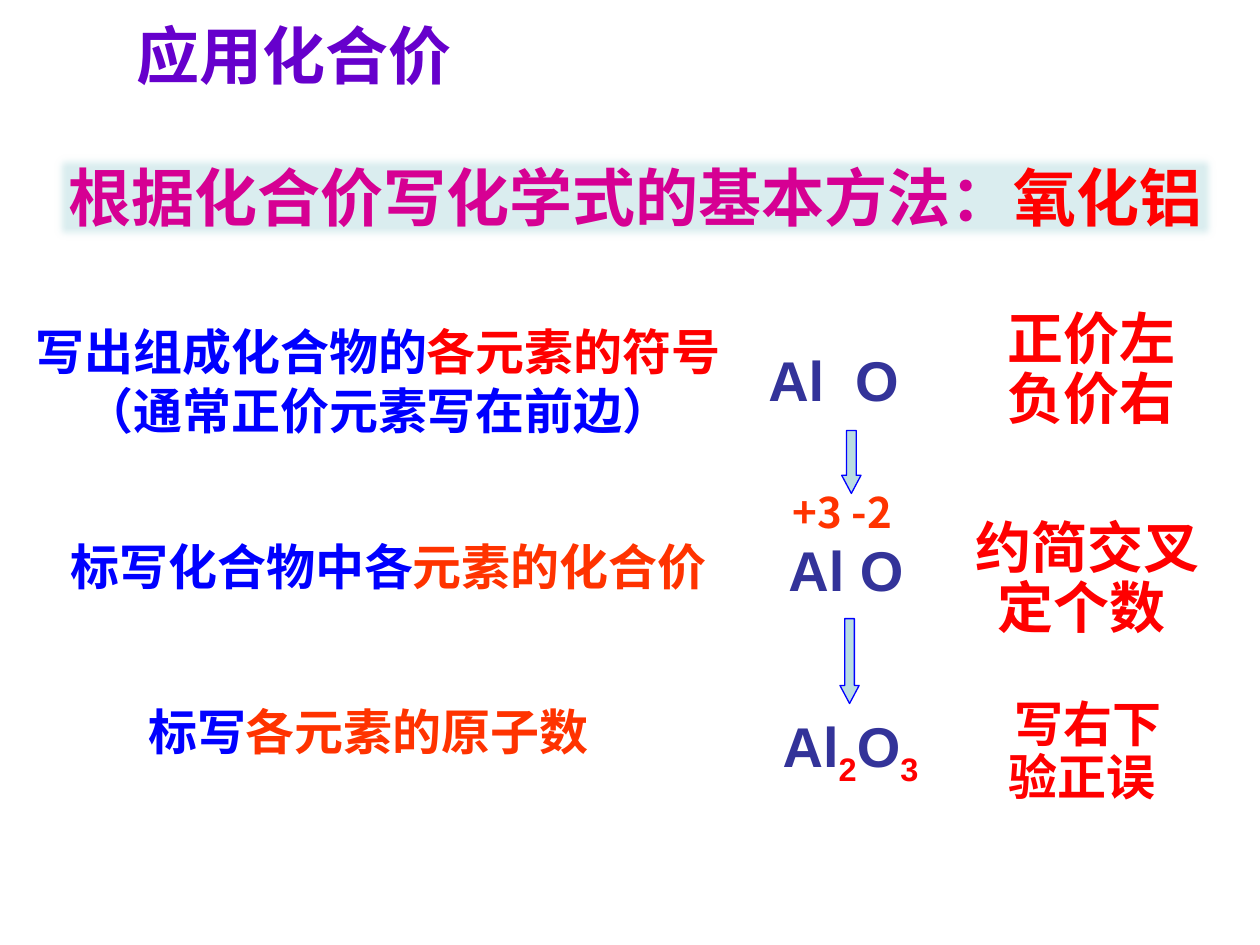
import pptx
import pptx.util
from pptx.dml.color import RGBColor
from pptx.enum.shapes import MSO_SHAPE
from pptx.enum.text import MSO_ANCHOR, MSO_AUTO_SIZE, PP_ALIGN
from pptx.oxml import parse_xml
from pptx.oxml.ns import nsdecls, qn

Pt = pptx.util.Pt
CJK, LATIN = "Noto Sans CJK SC", "Arial"
BLUE = RGBColor(0x00, 0x00, 0xFF)
RED = RGBColor(0xFF, 0x00, 0x00)
ORANGE = RGBColor(0xFF, 0x33, 0x00)
INDIGO = RGBColor(0x33, 0x33, 0x99)
PURPLE = RGBColor(0x66, 0x00, 0xCC)
MAGENTA = RGBColor(0xD6, 0x00, 0x93)
PALE = RGBColor(0xDA, 0xED, 0xEF)
TEAL = RGBColor(0xBA, 0xDD, 0xE1)

# Boxes are (left, top, width, height) in points.
# A paragraph is a list of runs: (text, colour[, "sub"]).
TITLE = ((18, 6, 300, 66), [[("应用化合价", PURPLE)]])
BANNER = ((30, 87, 666, 51),
          [[("根据化合价写化学式的基本方法：", MAGENTA), ("氧化铝", RED)]])
STEPS = [
    ((6, 180, 420, 90), [[("写出组成化合物的", BLUE), ("各元素的符号", RED)],
                         [("（通常正价元素写在前边）", BLUE)]], {}),
    ((8, 303, 428, 50), [[("标写化合物中各", BLUE), ("元素的化合价", ORANGE)]], {}),
    ((55.5, 397.5, 310, 46), [[("标写", BLUE), ("各元素的原子数", ORANGE)]], {}),
]
FORMULAS = [
    ((423, 194, 99, 46), [[(" Al  O", INDIGO)]], {}),
    ((443, 302.5, 81, 46), [[("Al O", INDIGO)]], {}),
    ((438, 403, 96, 46), [[("Al", INDIGO), ("2", RED, "sub"),
                           ("O", INDIGO), ("3", RED, "sub")]], {}),
]
VALENCES = [((432, 274.5, 98.5, 37), [[("+3 -2", ORANGE)]], {})]
RHYMES = [
    ((558, 174, 132, 77), [[("正价左负价右", RED)]], {}),
    ((538.5, 293.5, 166.5, 77), [[("约简交叉定个数 ", RED)]], {}),
    ((564.5, 396.5, 114, 68), [[("写右下验正误 ", RED)]], {"size": Pt(28)}),
]
GROUPS = [
    (STEPS, {"size": Pt(28), "name": CJK}, {}, True),
    (FORMULAS, {"size": Pt(32), "name": LATIN}, {}, False),
    (VALENCES, {"size": Pt(24), "name": CJK}, {}, True),
    (RHYMES, {"size": Pt(32), "name": CJK}, {"line_spacing": 0.9}, True),
]
ARROWS = [(481, 246, 11, 36), (480, 353.5, 11, 48.5)]


def points(box):
    return [Pt(v) for v in box]


def write(sp, paragraphs, font, spacing=None, wrap=True):
    tf = sp.text_frame
    frame = {"word_wrap": wrap, "auto_size": MSO_AUTO_SIZE.NONE,
             "vertical_anchor": MSO_ANCHOR.TOP,
             "margin_left": Pt(7.2), "margin_right": Pt(7.2),
             "margin_top": Pt(3.6), "margin_bottom": Pt(3.6)}
    for key, value in frame.items():
        setattr(tf, key, value)
    for i, runs in enumerate(paragraphs):
        p = tf.add_paragraph() if i else tf.paragraphs[0]
        for key, value in {"alignment": PP_ALIGN.CENTER, **(spacing or {})}.items():
            setattr(p, key, value)
        for text, colour, *sub in runs:
            r = p.add_run()
            r.text = text
            for key, value in {"bold": True, **font}.items():
                setattr(r.font, key, value)
            r.font.color.rgb = colour
            rPr = r.font._element
            rPr.append(parse_xml(f'<a:ea {nsdecls("a")} typeface="{font["name"]}"/>'))
            if sub:
                rPr.set("baseline", "-25000")


def soften_edges(sp, radius):
    spPr = sp._element.spPr
    for old in spPr.findall(qn("a:effectLst")):
        spPr.remove(old)
    spPr.append(parse_xml(f'<a:effectLst {nsdecls("a")}>'
                          f'<a:softEdge rad="{Pt(radius)}"/></a:effectLst>'))


def add_filled(s, kind, box, colour):
    sp = s.shapes.add_shape(kind, *points(box))
    sp.shadow.inherit = False
    sp.fill.solid()
    sp.fill.fore_color.rgb = colour
    return sp


def main():
    prs = pptx.Presentation()
    prs.slide_width, prs.slide_height = Pt(720), Pt(540)
    s = prs.slides.add_slide(prs.slide_layouts[5])

    box, paragraphs = TITLE
    title = s.shapes.title
    title.left, title.top, title.width, title.height = points(box)
    heading = {"size": Pt(36), "name": CJK}
    write(title, paragraphs, heading)

    box, paragraphs = BANNER
    banner = add_filled(s, MSO_SHAPE.RECTANGLE, box, PALE)
    banner.line.fill.background()
    soften_edges(banner, 5)
    write(banner, paragraphs, heading)

    for items, font, spacing, wrap in GROUPS:
        for box, paragraphs, extra in items:
            sp = s.shapes.add_textbox(*points(box))
            write(sp, paragraphs, {**font, **extra}, spacing, wrap)

    for box in ARROWS:
        arrow = add_filled(s, MSO_SHAPE.DOWN_ARROW, box, TEAL)
        arrow.adjustments[1] = 0.94
        arrow.line.color.rgb = BLUE
        arrow.line.width = Pt(0.75)

    prs.save("out.pptx")


if __name__ == "__main__":
    main()
